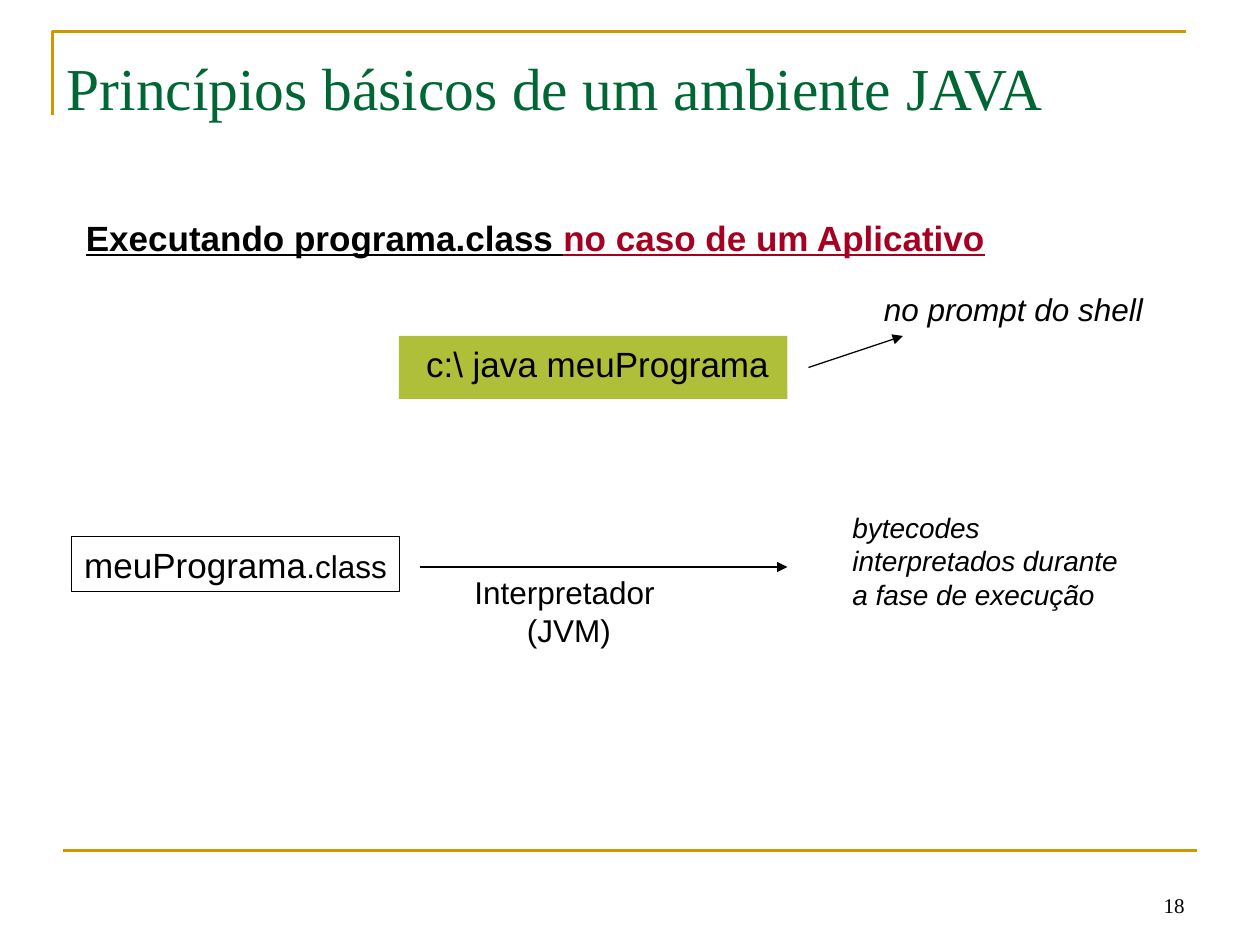
from pptx import Presentation
from pptx.util import Pt
from pptx.dml.color import RGBColor
from pptx.enum.shapes import MSO_CONNECTOR as Conn, MSO_SHAPE as Shape
from pptx.enum.text import MSO_ANCHOR as Anchor, PP_ALIGN as Align
from lxml.etree import SubElement
from pptx.oxml.ns import qn

GOLD = RGBColor(0xCC, 0x99, 0x00)
GREEN = RGBColor(0x00, 0x66, 0x33)
LIME = RGBColor(0xAF, 0xBF, 0x39)
RED = RGBColor(0xA5, 0x00, 0x21)
BLACK = RGBColor(0, 0, 0)
SANS, SERIF = "Arial", "Times New Roman"


def write(frame, *lines, size=18, font=SANS, color=BLACK, bold=False,
          italic=False, under=False, align=Align.LEFT, anchor=Anchor.TOP,
          lead=1.2):
    """Each line is a string or a list of (text, changes) runs."""
    frame.word_wrap = True
    frame.vertical_anchor = anchor
    for i, line in enumerate(lines):
        para = frame.paragraphs[0] if i == 0 else frame.add_paragraph()
        para.alignment = align
        if lead:
            para.line_spacing = Pt(lead * size)
        for text, diff in [(line, {})] if isinstance(line, str) else line:
            run = para.add_run()
            run.text = text
            face = run.font
            face.name = font
            face.size = Pt(diff.get("size", size))
            face.color.rgb = diff.get("color", color)
            face.bold, face.italic, face.underline = bold, italic, under


def label(slide, box, *lines, **form):
    frame = slide.shapes.add_textbox(*map(Pt, box)).text_frame
    write(frame, *lines, **form)
    return frame


def panel(slide, box, fill=None, line=None):
    rect = slide.shapes.add_shape(Shape.RECTANGLE, *map(Pt, box))
    rect.shadow.inherit = False
    if fill is None:
        rect.fill.background()
    else:
        rect.fill.solid()
        rect.fill.fore_color.rgb = fill
    if line is None:
        rect.line.fill.background()
    else:
        rect.line.color.rgb = line
        rect.line.width = Pt(0.75)
    # Short labels may run up to the right edge
    rect.text_frame.margin_right = Pt(0)
    return rect.text_frame


def rule(slide, start, end, color=BLACK, width=0.75, arrow=True):
    link = slide.shapes.add_connector(Conn.STRAIGHT, *map(Pt, start + end))
    link.line.color.rgb = color
    link.line.width = Pt(width)
    props = link._element.spPr
    if arrow:
        SubElement(props.get_or_add_ln(), qn("a:tailEnd"), type="triangle")
    SubElement(props, qn("a:effectLst"))


def frame_page(slide, left, top, width, number):
    # Corner line above the title
    pen = slide.shapes.build_freeform(left, top + 48, scale=Pt(1))
    pen.add_line_segments([(left, top), (left + width, top)], close=False)
    edge = pen.convert_to_shape()
    edge.shadow.inherit = False
    edge.fill.background()
    edge.line.color.rgb = GOLD
    edge.line.width = Pt(1.5)
    # Footer line and page number
    foot, right = top + 468, left + width + 6
    rule(slide, (left + 6, foot), (right, foot), GOLD, 1.5, arrow=False)
    label(slide, (right - 168, foot + 6, 168, 36), number, size=12, font=SERIF,
          align=Align.RIGHT, anchor=Anchor.BOTTOM, lead=None)


def head(slide, box, text):
    title = slide.shapes.title
    title.left, title.top, title.width, title.height = map(Pt, box)
    write(title.text_frame, text, size=34, font=SERIF, color=GREEN,
          anchor=Anchor.BOTTOM, lead=None)


def command(slide, left, top):
    # Heading, shell command and its note
    label(slide, (left, top, 640, 32),
          [("Executando programa.class ", {}),
           ("no caso de um Aplicativo", {"color": RED})],
          size=20, bold=True, under=True)
    shell = panel(slide, (left + 186, top + 72, 222, 36), fill=LIME)
    shell.margin_left = Pt(15.5)
    write(shell, "c:\\ java meuPrograma", size=20)
    label(slide, (left + 456, top + 42, 180, 29), "no prompt do shell",
          italic=True)
    rule(slide, (left + 420, top + 90), (left + 474, top + 72))


def flow(slide, left, top):
    # Class file, interpreter and result
    source = panel(slide, (left, top + 18.75, 187.5, 31.5), line=BLACK)
    write(source, [("meuPrograma", {}), (".class", {"size": 18})], size=20)
    rule(slide, (left + 199, top + 36), (left + 409, top + 36))
    step = label(slide, (left + 223, top + 36, 135, 50),
                 "Interpretador", "(JVM)")
    step.paragraphs[1]._p.get_or_add_pPr().set("marL", str(Pt(30)))
    label(slide, (left + 439, top, 185, 65), "bytecodes",
          "interpretados durante", "a fase de execução",
          size=16, italic=True)


def main():
    deck = Presentation()
    deck.slide_width, deck.slide_height = Pt(720), Pt(540)
    slide = deck.slides.add_slide(deck.slide_layouts[5])
    frame_page(slide, 30, 18, 648, "18")
    head(slide, (31, 20, 588, 53.5), "Princípios básicos de um ambiente JAVA")
    command(slide, 42, 120)
    flow(slide, 41, 288)
    deck.save("out.pptx")


if __name__ == "__main__":
    main()
